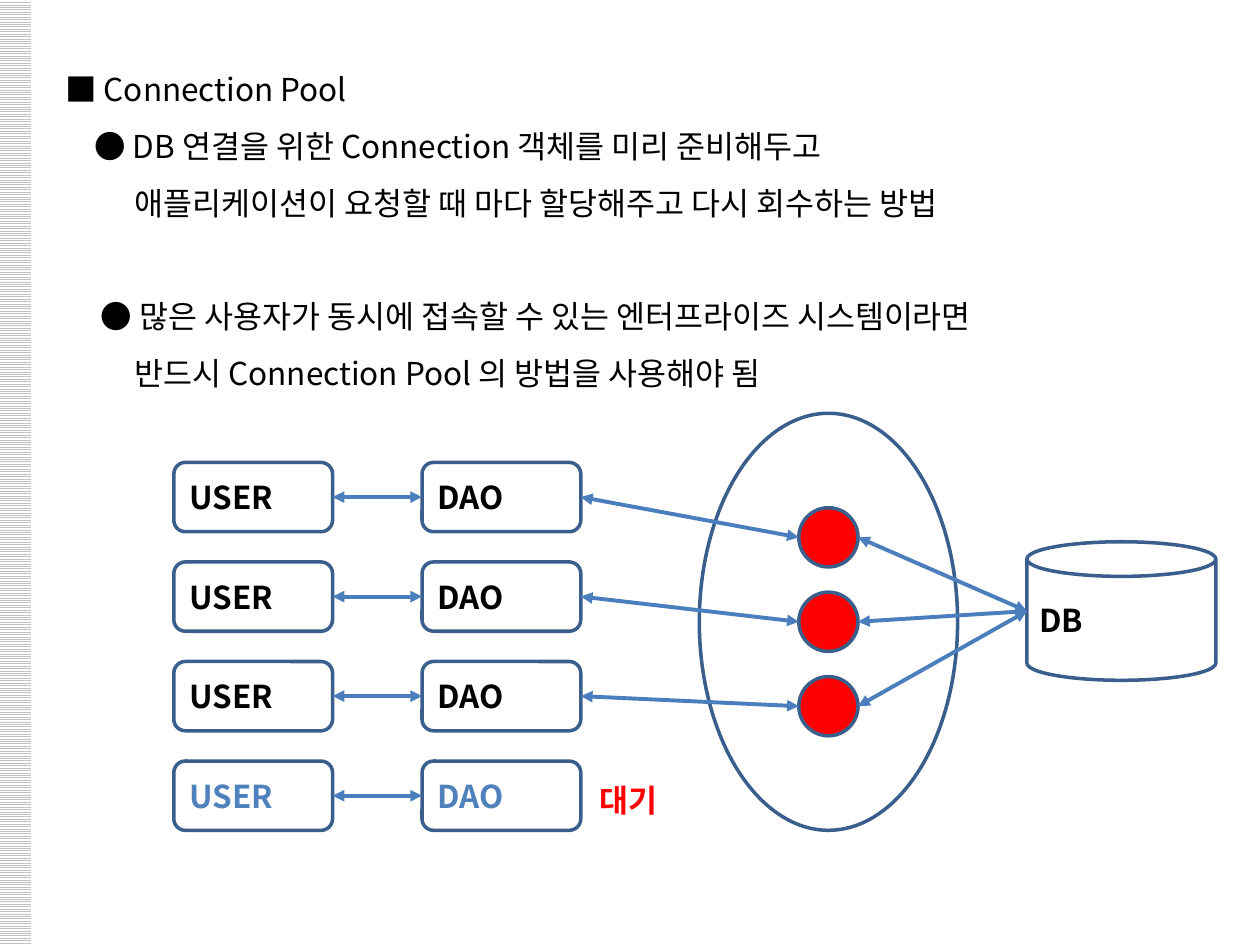
from lxml import etree
from pptx import Presentation
from pptx.dml.color import RGBColor
from pptx.enum.dml import MSO_PATTERN
from pptx.enum.shapes import MSO_CONNECTOR, MSO_SHAPE
from pptx.oxml.ns import qn
from pptx.util import Inches, Pt

STRAIGHT = MSO_CONNECTOR.STRAIGHT
ROUNDED, OVAL, CAN, RECT = (MSO_SHAPE.ROUNDED_RECTANGLE, MSO_SHAPE.OVAL,
                            MSO_SHAPE.CAN, MSO_SHAPE.RECTANGLE)
BLACK = RGBColor(0, 0, 0)
WHITE = RGBColor(255, 255, 255)
RED = RGBColor(255, 0, 0)
GRAY = RGBColor(0xC0, 0xC0, 0xC0)
OUTLINE = RGBColor(0x3A, 0x5F, 0x8C)
ARROW = RGBColor(0x4B, 0x7E, 0xBC)
WAITING = RGBColor(0x4F, 0x81, 0xBD)
FONT = "Noto Sans CJK KR"
FONT_SIZE = Pt(18)

# text, left indent in inches, space before in points
EXPLANATION = [
    ("■ Connection Pool", 0, 0),
    ("● DB 연결을 위한 Connection 객체를 미리 준비해두고", 0.23, 0),
    ("애플리케이션이 요청할 때 마다 할당해주고 다시 회수하는 방법", 0.55, 0),
    ("● 많은 사용자가 동시에 접속할 수 있는 엔터프라이즈 시스템이라면", 0.28, 32.4),
    ("반드시 Connection Pool 의 방법을 사용해야 됨", 0.55, 0),
]
CLIENT_COLORS = [BLACK, BLACK, BLACK, WAITING]
CONNECTIONS = 3

# Lengths in inches
USER_LEFT, DAO_LEFT = 1.38, 3.35
CLIENT_TOP, CLIENT_PITCH = 3.67, 0.79
CLIENT_W, CLIENT_H = 1.26, 0.55
POOL = (5.55, 3.28, 2.05, 3.31)
DB = (8.15, 4.3, 1.5, 1.1)
BALL, BALL_PITCH = 0.47, 0.67

prs = Presentation()
prs.slide_width, prs.slide_height = Inches(10), Inches(7.5)
slide = prs.slides.add_slide(prs.slide_layouts[6])


def style_text(paragraph, color, bold=False):
    for run in paragraph.runs:
        font = run.font
        font.name, font.size, font.bold = FONT, FONT_SIZE, bold
        font.color.rgb = color
        east_asian = etree.SubElement(run._r.get_or_add_rPr(), qn("a:ea"))
        east_asian.set("typeface", FONT)


def add_node(kind, box, label="", color=BLACK, fill=None):
    node = slide.shapes.add_shape(kind, *map(Inches, box))
    node.shadow.inherit = False
    if fill is None:
        node.fill.background()
    else:
        node.fill.solid()
        node.fill.fore_color.rgb = fill
    node.line.color.rgb = OUTLINE
    node.line.width = Pt(2)
    if label:
        node.text_frame.text = label
        style_text(node.text_frame.paragraphs[0], color, bold=True)


def add_double_arrow(start, end):
    arrow = slide.shapes.add_connector(STRAIGHT, *map(Inches, (*start, *end)))
    arrow.line.color.rgb = ARROW
    arrow.line.width = Pt(2.25)
    for tip in ("a:headEnd", "a:tailEnd"):
        etree.SubElement(arrow.line._ln, qn(tip)).set("type", "triangle")
    etree.SubElement(arrow._element.spPr, qn("a:effectLst"))


def add_text(box, lines, color, bold=False):
    frame = slide.shapes.add_textbox(*map(Inches, box)).text_frame
    frame.word_wrap = True
    for i, (text, indent, before) in enumerate(lines):
        paragraph = frame.add_paragraph() if i else frame.paragraphs[0]
        paragraph.text = text
        paragraph.line_spacing = 1.5
        paragraph.space_before = Pt(before)
        paragraph._p.get_or_add_pPr().set("marL", str(Inches(indent)))
        style_text(paragraph, color, bold)


stripe = slide.shapes.add_shape(RECT, *map(Inches, (-0.01, 0, 0.26, 7.5)))
stripe.shadow.inherit = False
stripe.fill.patterned()
stripe.fill.pattern = MSO_PATTERN.LIGHT_HORIZONTAL
stripe.fill.fore_color.rgb = GRAY
stripe.fill.back_color.rgb = WHITE
stripe.line.fill.background()

add_text((0.42, 0.36, 8.34, 2.83), EXPLANATION, BLACK)
add_node(OVAL, POOL)
add_node(CAN, DB, "DB")

pool_x = POOL[0] + POOL[2] / 2
pool_y = POOL[1] + POOL[3] / 2
ball_left, ball_right = pool_x - BALL / 2, pool_x + BALL / 2
ball_ys = [pool_y + (i - (CONNECTIONS - 1) / 2) * BALL_PITCH
           for i in range(CONNECTIONS)]
client_tops = [CLIENT_TOP + i * CLIENT_PITCH for i in range(len(CLIENT_COLORS))]
client_ys = [top + CLIENT_H / 2 for top in client_tops]

for ball_y in ball_ys:
    add_node(OVAL, (ball_left, ball_y - BALL / 2, BALL, BALL), fill=RED)
for top, color in zip(client_tops, CLIENT_COLORS):
    for left, label in ((USER_LEFT, "USER"), (DAO_LEFT, "DAO")):
        add_node(ROUNDED, (left, top, CLIENT_W, CLIENT_H), label, color)

for client_y in client_ys:
    add_double_arrow((USER_LEFT + CLIENT_W, client_y), (DAO_LEFT, client_y))
for client_y, ball_y in zip(client_ys, ball_ys):
    add_double_arrow((DAO_LEFT + CLIENT_W, client_y), (ball_left, ball_y))
    add_double_arrow((DB[0], DB[1] + DB[3] / 2), (ball_right, ball_y))

add_text((4.66, 6, 0.79, 0.56), [("대기", 0, 0)], RED, bold=True)

prs.save("out.pptx")
